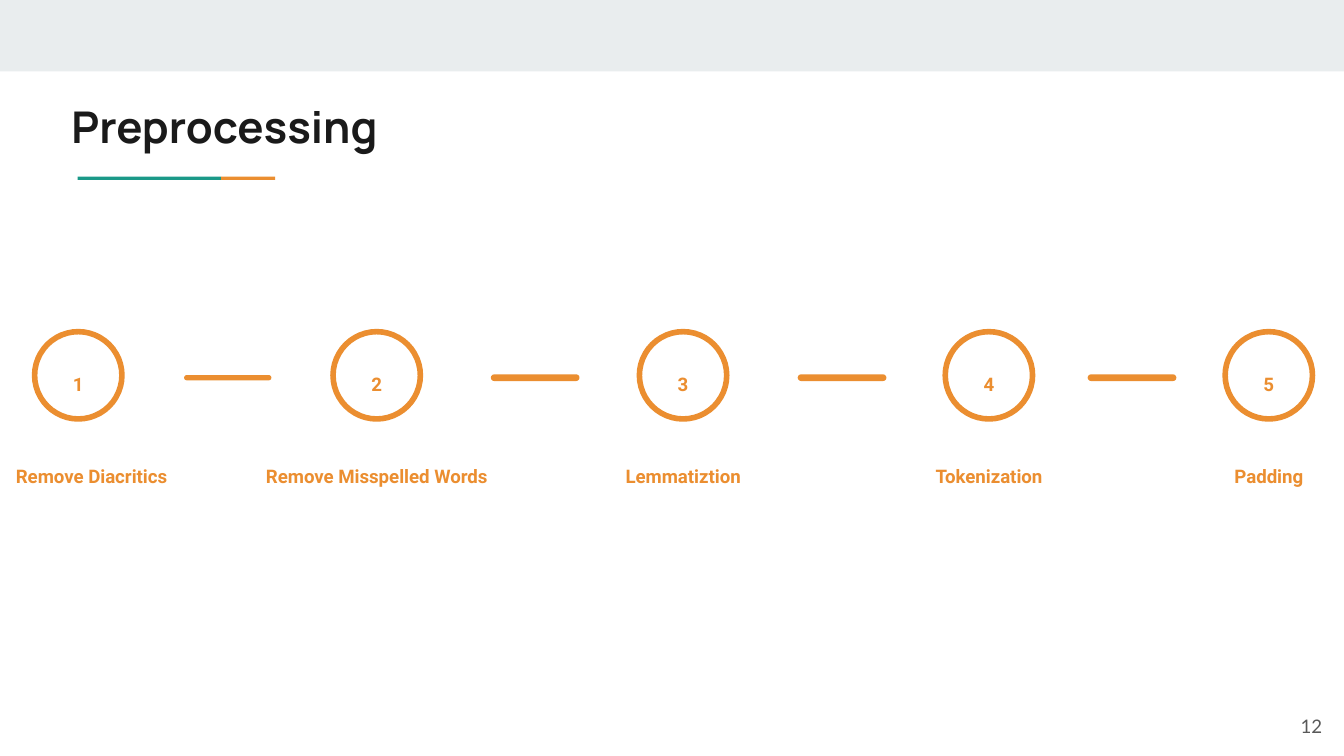
from dataclasses import dataclass

from pptx import Presentation
from pptx.dml.color import RGBColor
from pptx.enum.shapes import MSO_SHAPE
from pptx.enum.text import MSO_ANCHOR, MSO_AUTO_SIZE, PP_ALIGN
from pptx.util import Cm, Pt

RECT, ROUND, OVAL = MSO_SHAPE.RECTANGLE, MSO_SHAPE.ROUNDED_RECTANGLE, MSO_SHAPE.OVAL
TOP, MIDDLE, BOTTOM = MSO_ANCHOR.TOP, MSO_ANCHOR.MIDDLE, MSO_ANCHOR.BOTTOM
LEFT, CENTER, RIGHT = PP_ALIGN.LEFT, PP_ALIGN.CENTER, PP_ALIGN.RIGHT
NO_FIT = MSO_AUTO_SIZE.NONE

COLORS = {
    "band": "E9EDEE",
    "orange": "EB8E30",
    "green": "1A9988",
    "title": "1A1A1A",
    "gray": "595959",
}
TITLE_ONLY = 5
CIRCLE = 1.65
CIRCLE_TOP = 6.27
LABEL_WIDTH = 4.75
NUMBER_WIDTH = 1.22


@dataclass
class Step:
    label: str
    center: float
    label_shift: float = 0


@dataclass
class Bar:
    left: float
    outline: float = 0.75


STEPS = [
    Step("Remove Diacritics", 1.48, 0.25),
    Step("Remove Misspelled Words", 7.12),
    Step("Lemmatiztion", 12.91),
    Step("Tokenization", 18.69),
    Step("Padding", 23.98),
]
BARS = [Bar(3.48, 0), Bar(9.29), Bar(15.09), Bar(20.57)]


def rgb(name: str) -> RGBColor:
    return RGBColor.from_string(COLORS[name])


def add_shape(s, kind, left: float, top: float, width: float, height: float,
              fill: str = "", line: str = "", weight: float = 0):
    sp = s.shapes.add_shape(kind, Cm(left), Cm(top), Cm(width), Cm(height))
    sp.shadow.inherit = False
    if fill:
        sp.fill.solid()
        sp.fill.fore_color.rgb = rgb(fill)
    else:
        sp.fill.background()
    if weight:
        sp.line.color.rgb = rgb(line)
        sp.line.width = Pt(weight)
    else:
        sp.line.fill.background()
    return sp


def write(sp, text: str, *, size: float, font: str, color: str, bold: bool = False,
          align=LEFT, anchor=TOP, spacing: float = 1, after: float = 0) -> None:
    tf = sp.text_frame
    tf.word_wrap = True
    tf.auto_size = NO_FIT
    tf.vertical_anchor = anchor
    tf.margin_left = tf.margin_right = tf.margin_top = tf.margin_bottom = Cm(0.25)
    p = tf.paragraphs[0]
    p.alignment = align
    p.line_spacing = spacing
    p.space_before = Pt(0)
    p.space_after = Pt(after)
    r = p.add_run()
    r.text = text
    r.font.size = Pt(size)
    r.font.name = font
    r.font.bold = bold
    r.font.color.rgb = rgb(color)


def add_text(s, text: str, left: float, top: float, width: float, height: float,
             **style) -> None:
    sp = s.shapes.add_textbox(Cm(left), Cm(top), Cm(width), Cm(height))
    write(sp, text, **style)


def add_step(s, number: int, step: Step) -> None:
    style = dict(size=10, font="Roboto", color="orange", bold=True,
                 align=CENTER, spacing=1.15)
    add_shape(s, OVAL, step.center - CIRCLE / 2, CIRCLE_TOP, CIRCLE, CIRCLE,
              line="orange", weight=3)
    add_text(s, str(number), step.center - NUMBER_WIDTH / 2, 6.73,
             NUMBER_WIDTH, 0.89, after=16, **style)
    add_text(s, step.label, step.center + step.label_shift - LABEL_WIDTH / 2, 8.23,
             LABEL_WIDTH, 1.24, anchor=BOTTOM, **style)


def add_bar(s, bar: Bar) -> None:
    sp = add_shape(s, ROUND, bar.left, 7.09, 1.65, 0.1, fill="orange",
                   line="orange", weight=bar.outline)
    sp.adjustments[0] = 0.5


def main() -> None:
    prs = Presentation()
    prs.slide_width, prs.slide_height = Cm(25.4), Cm(14.29)
    s = prs.slides.add_slide(prs.slide_layouts[TITLE_ONLY])

    add_shape(s, RECT, 0, 0, 25.4, 1.35, fill="band")
    add_shape(s, RECT, 1.47, 3.34, 2.71, 0.06, fill="green")
    add_shape(s, RECT, 4.18, 3.34, 1.02, 0.06, fill="orange")

    title = s.shapes.title
    title.left, title.top = Cm(1.1), Cm(1.63)
    title.width, title.height = Cm(21.36), Cm(1.5)
    write(title, "Preprocessing", size=23.4, font="Manrope", color="title", bold=True)
    add_text(s, "12", 23.72, 13.18, 1.52, 1.09, size=10, font="Lato", color="gray",
             align=RIGHT, anchor=MIDDLE)

    for bar in BARS:
        add_bar(s, bar)
    for number, step in enumerate(STEPS, start=1):
        add_step(s, number, step)

    prs.save("out.pptx")


if __name__ == "__main__":
    main()
